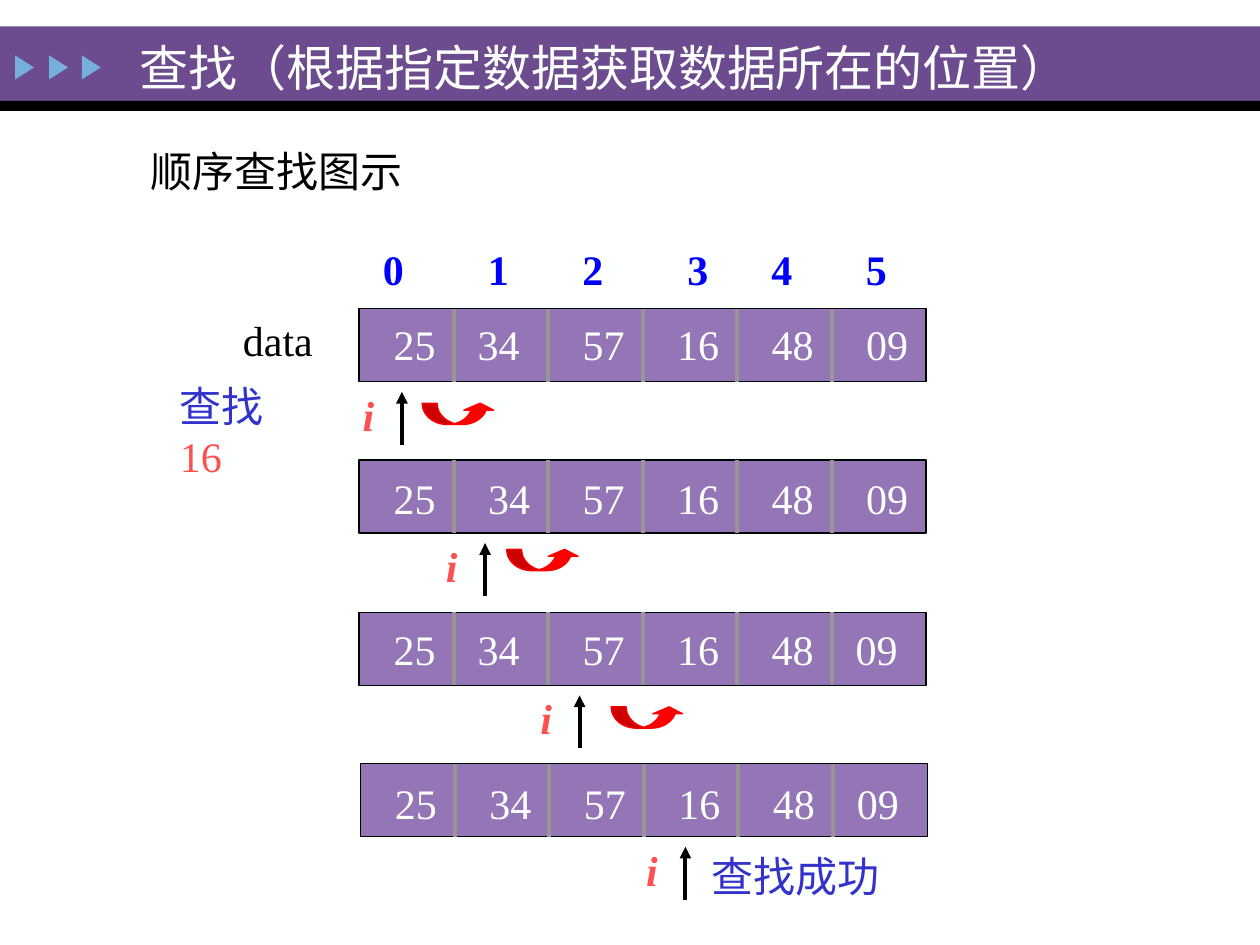
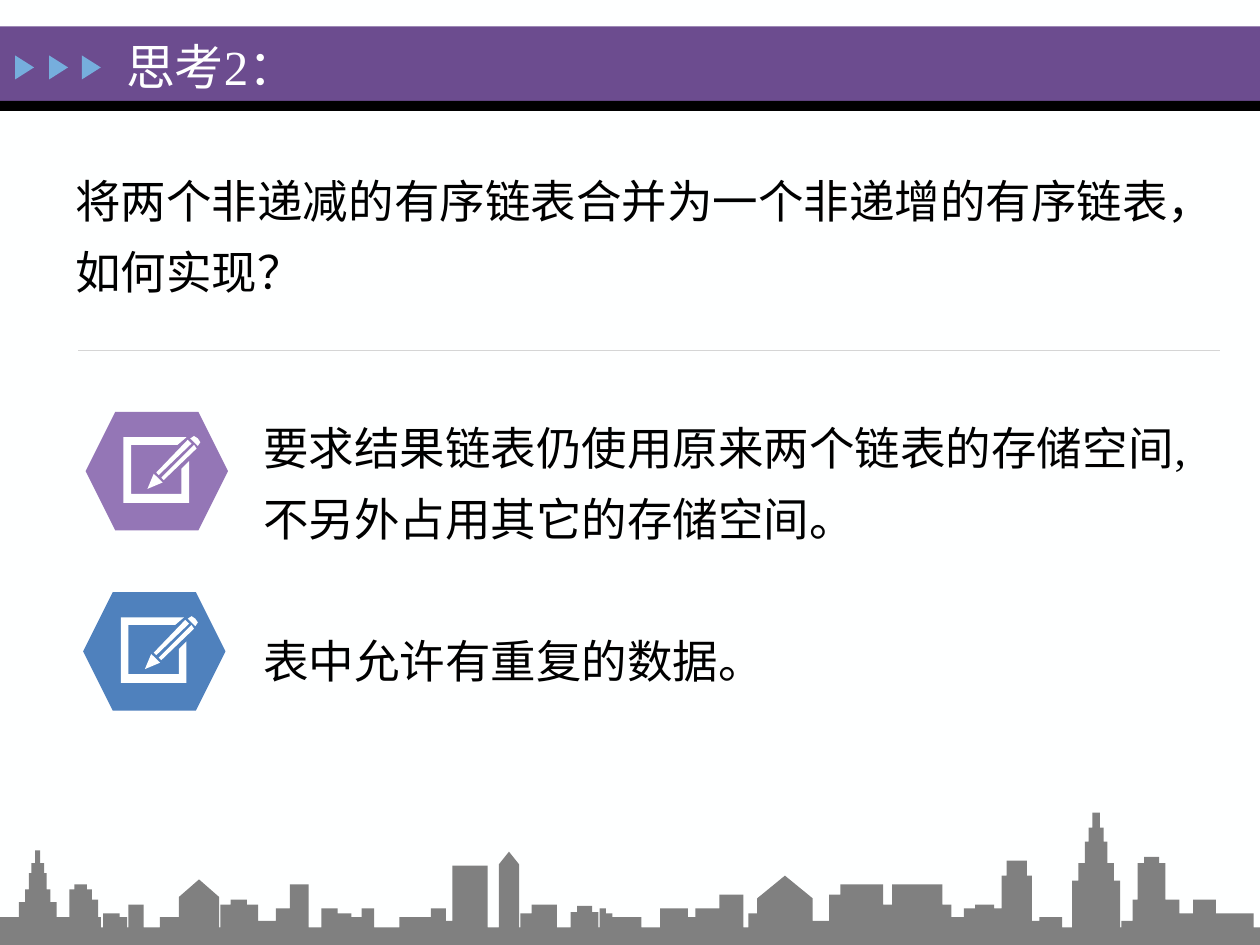
import dataclasses

import lxml.etree
import pptx
import pptx.dml.color
import pptx.enum.shapes
import pptx.enum.text
import pptx.oxml.ns
import pptx.util

Inches = pptx.util.Inches
Pt = pptx.util.Pt
SHAPES = pptx.enum.shapes.MSO_SHAPE
ANCHOR = pptx.enum.text.MSO_ANCHOR
qn = pptx.oxml.ns.qn

COLORS = {
    "paper": "FEFFFF", "band": "6C4C8F", "black": "000000", "marker": "76AEDD",
    "cell": "9476B6", "divider": "969696", "index": "0000FF", "label": "3333CC",
    "accent": "FF5050", "jump": "FF0000", "rule": "D5D5D5", "blue": "4F81BD",
    "skyline": "808080",
}
FONT = "Times New Roman"

# Search table: lengths in inches, except the number grid, which is in points
DATA = ("25", "34", "57", "16", "48", "09")
CELL_WIDTH, ROW_HEIGHT = 0.75, 0.58
NUMBER_PITCH, NUMBER_SPACE = 54, 6


@dataclasses.dataclass
class SearchStep:
    left: float
    top: float
    text_drop: float
    shifts: dict  # cell -> how many spaces its number moves right
    pointer: float
    jump: tuple = None  # left edge, drop below the row's top


SEARCH_STEPS = [
    SearchStep(2.85, 2.45, 0.03, {1: -1}, pointer=3.19, jump=(3.35, 0.75)),
    SearchStep(2.85, 3.65, 0.05, {}, pointer=3.85, jump=(4.02, 0.71)),
    SearchStep(2.85, 4.86, 0.04, {1: -1, 5: -1}, pointer=4.6, jump=(4.85, 0.75)),
    SearchStep(2.86, 6.06, 0.06, {5: -1}, pointer=5.44),
]

# White parts of the notepad icon, measured from the hexagon's corner
NOTEPAD_PARTS = {
    "pencil tip": [(0.61, 0.56), (0.54, 0.49), (0.49, 0.61)],
    "upper shaft": [(0.81, 0.22), (0.56, 0.48), (0.58, 0.5), (0.84, 0.25)],
    "lower shaft": [(0.6, 0.52), (0.62, 0.54), (0.88, 0.29), (0.86, 0.26)],
    "eraser": [(0.89, 0.21), (0.86, 0.19), (0.83, 0.21), (0.89, 0.27), (0.91, 0.24)],
    "page frame": [(0.76, 0.65), (0.36, 0.65), (0.36, 0.26), (0.73, 0.26), (0.8, 0.2),
                   (0.3, 0.2), (0.3, 0.72), (0.82, 0.72), (0.82, 0.39), (0.76, 0.45)],
}

# Skyline: every building is a block with a roof; the outline follows the highest one
STREET, SKYLINE_BOTTOM = 7.36, 7.52
# centre -> tiers of (half width, roof)
TOWERS = {
    0.3: [(0.02, 6.75), (0.05, 6.85), (0.07, 6.93), (0.1, 7.06), (0.15, 7.16)],
    0.64: [(0.05, 7.02), (0.09, 7.06)],
    4.64: [(0.06, 7.19), (0.11, 7.24)],
    8.07: [(0.08, 6.83), (0.12, 6.95)],
    8.7: [(0.03, 6.45), (0.06, 6.57), (0.09, 6.68), (0.14, 6.85), (0.19, 6.99)],
    9.14: [(0.06, 6.8), (0.11, 6.85)],
}
# centre -> (half width, eaves, peak)
HOUSES = {1.58: (0.16, 7.12, 6.98), 4.04: (0.08, 6.86, 6.76), 6.23: (0.22, 7.13, 6.95)}
# roof -> the (left, right) spans of flat buildings of that height
FLAT_BLOCKS = {
    6.87: [(3.59, 3.87)],
    7.02: [(2.3, 2.45), (6.67, 7.01), (7.08, 7.48)],
    7.1: [(5.71, 5.9), (6.58, 6.67)],
    7.14: [(0.55, 0.78), (1.83, 1.96), (8.99, 9.03), (9.25, 9.36), (9.47, 9.65)],
    7.18: [(1.02, 1.14), (1.75, 1.83), (1.96, 2.05), (4.22, 4.42), (7.01, 7.08),
           (7.48, 7.55), (7.74, 7.89)],
    7.21: [(2.19, 2.3), (2.55, 2.68), (2.87, 2.97), (3.42, 3.54), (4.76, 4.81),
           (5.24, 5.46), (5.52, 5.71), (7.65, 7.95)],
    7.25: [(0.82, 0.95), (2.68, 2.79), (4.13, 4.22), (4.81, 4.86), (5.94, 6.01),
           (9.36, 9.47), (9.65, 9.95)],
    7.28: [(0, 0.55), (0.78, 0.8), (0.95, 1.01), (1.27, 1.42), (2.79, 2.87),
           (3.17, 3.42), (4.86, 5.09), (5.46, 5.52), (7.55, 7.65), (8.25, 8.43)],
    7.31: [(2.05, 2.19), (3.54, 3.59), (6.45, 6.58), (8.19, 8.25), (8.9, 8.99)],
}


def rgb(name):
    return pptx.dml.color.RGBColor.from_string(COLORS[name])


def write(paragraph, text, size=24, color="black", bold=False, italic=False):
    """Add one formatted run to the paragraph."""
    run = paragraph.add_run()
    run.text = text
    run.font.name, run.font.size = FONT, Pt(size)
    run.font.bold, run.font.italic = bold, italic
    run.font.color.rgb = rgb(color)


def set_tab_stops(paragraph, stops):
    tab_list = lxml.etree.SubElement(paragraph._p.get_or_add_pPr(), qn("a:tabLst"))
    for stop in stops:
        lxml.etree.SubElement(tab_list, qn("a:tab"), pos=str(int(Pt(stop))), algn="l")


def skyline_blocks():
    """List every building as (left, right, roof)."""
    blocks = [(0, 10, STREET)]
    for roof, spans in FLAT_BLOCKS.items():
        blocks += [(left, right, roof) for left, right in spans]
    for center, tiers in TOWERS.items():
        blocks += [(center - half, center + half, roof) for half, roof in tiers]
    for center, (half, eaves, _) in HOUSES.items():
        blocks.append((center - half, center + half, eaves))
    return [(round(left, 2), round(right, 2), roof) for left, right, roof in blocks]


def skyline_outline():
    """Follow the highest roof between each pair of neighbouring walls."""
    blocks = skyline_blocks()
    walls = sorted({wall for left, right, _ in blocks for wall in (left, right)})
    points = [(center, peak) for center, (_, _, peak) in HOUSES.items()]
    for start, end in zip(walls, walls[1:]):
        roof = min(roof for left, right, roof in blocks if left <= start and end <= right)
        points += [(start, roof), (end, roof)]
    points.sort(key=lambda point: point[0])
    return [(0, SKYLINE_BOTTOM), *points, (10, SKYLINE_BOTTOM)]


class Deck:
    def __init__(self):
        self.presentation = pptx.Presentation()
        self.presentation.slide_width = Inches(10)
        self.presentation.slide_height = Inches(7.5)
        self.layout = self.presentation.slide_layouts[5]
        self.shapes = None
        self.has_bands = False

    def add_slide(self, title, left, top, width, height, margin=0.1):
        slide = self.presentation.slides.add_slide(self.layout)
        self.shapes = slide.shapes
        if not self.has_bands:
            self.add_bands()
        shape = slide.shapes.title
        shape.left, shape.top = Inches(left), Inches(top)
        shape.width, shape.height = Inches(width), Inches(height)
        frame = shape.text_frame
        frame.auto_size = pptx.enum.text.MSO_AUTO_SIZE.NONE
        frame.vertical_anchor = ANCHOR.MIDDLE
        frame.margin_left = Inches(margin)
        paragraph = frame.paragraphs[0]
        paragraph.alignment = pptx.enum.text.PP_ALIGN.LEFT
        write(paragraph, title, size=28, color="paper")

    def add_bands(self):
        """Draw the header bands once and hand them to the layout."""
        fill = self.layout.background.fill
        fill.solid()
        fill.fore_color.rgb = rgb("paper")
        for placeholder in list(self.layout.placeholders)[1:]:
            self.layout.shapes.element.remove(placeholder.element)
        parts = [self.shape(SHAPES.RECTANGLE, 0, 0.21, 10, 0.59, "band"),
                 self.shape(SHAPES.RECTANGLE, 0, 0.8, 10, 0.08, "black")]
        for left in (0.1, 0.37, 0.63):
            marker = self.shape(SHAPES.ISOSCELES_TRIANGLE, left, 0.46, 0.19, 0.15, "marker")
            marker.rotation = 90
            parts.append(marker)
        for part in parts:
            self.layout.shapes.element.append(part.element)
        self.has_bands = True

    def paint(self, shape, fill, line=None):
        shape.shadow.inherit = False
        shape.fill.solid()
        shape.fill.fore_color.rgb = rgb(fill)
        if line:
            shape.line.color.rgb = rgb(line)
            shape.line.width = Pt(0.75)
        else:
            shape.line.fill.background()
        return shape

    def shape(self, kind, left, top, width, height, fill, line=None):
        shape = self.shapes.add_shape(
            kind, Inches(left), Inches(top), Inches(width), Inches(height))
        return self.paint(shape, fill, line)

    def outline(self, points, fill):
        corners = [(Inches(x), Inches(y)) for x, y in points]
        builder = self.shapes.build_freeform(*corners[0])
        builder.add_line_segments(corners[1:], close=True)
        return self.paint(builder.convert_to_shape(), fill)

    def line(self, start, end, color, width, arrow=False):
        connector = self.shapes.add_connector(
            pptx.enum.shapes.MSO_CONNECTOR.STRAIGHT, *map(Inches, start + end))
        connector.line.color.rgb = rgb(color)
        connector.line.width = Pt(width)
        properties = connector._element.spPr
        if arrow:
            lxml.etree.SubElement(properties.find(qn("a:ln")), qn("a:tailEnd"), type="triangle")
        lxml.etree.SubElement(properties, qn("a:effectLst"))

    def text_frame(self, left, top, width, height, anchor=ANCHOR.TOP):
        box = self.shapes.add_textbox(Inches(left), Inches(top), Inches(width), Inches(height))
        box.text_frame.word_wrap = True
        box.text_frame.vertical_anchor = anchor
        return box.text_frame

    def label(self, text, left, top, width, height=0.51, anchor=ANCHOR.TOP, **style):
        frame = self.text_frame(left, top, width, height, anchor)
        write(frame.paragraphs[0], text, **style)
        return frame

    def body(self, texts, left, top, width, height):
        """Write wide-spaced paragraphs, one line's height apart."""
        frame = self.text_frame(left, top, width, height, ANCHOR.MIDDLE)
        for number, text in enumerate(texts):
            paragraph = frame.add_paragraph() if number else frame.paragraphs[0]
            paragraph.line_spacing = 1.3
            if number:
                paragraph.space_before = Pt(40.6)
            write(paragraph, text, size=26)

    def numbers(self, values, shifts, left, top, **style):
        """Write one value per cell; shifts moves single values by whole spaces."""
        first, *others = [NUMBER_PITCH * cell + NUMBER_SPACE * (1 + shifts.get(cell, 0))
                          for cell in range(len(values))]
        frame = self.label("\t".join(values), left, top, 4.49, **style)
        frame.margin_left = Inches(0.1) + Pt(first)
        set_tab_stops(frame.paragraphs[0], [offset - first for offset in others])

    def search_step(self, step):
        left, top, pointer = step.left, step.top, step.pointer
        self.shape(SHAPES.RECTANGLE, left, top, CELL_WIDTH * len(DATA), ROW_HEIGHT,
                   "cell", "black")
        for cell in range(1, len(DATA)):
            x = left + cell * CELL_WIDTH
            self.line((x, top), (x, top + ROW_HEIGHT), "divider", 2.25)
        self.numbers(DATA, step.shifts, left + 0.09, top + step.text_drop, color="paper")
        self.line((pointer, top + 1.08), (pointer, top + 0.66), "black", 2.25, arrow=True)
        self.label("i", pointer - 0.41, top + 0.59, 0.3, color="accent", bold=True, italic=True)
        if step.jump:
            jump_left, drop = step.jump
            arrow = self.shape(SHAPES.CURVED_UP_ARROW, jump_left, top + drop, 0.58, 0.17,
                               "jump", "jump")
            for number, value in enumerate((0.7, 1.4, 0.33)):
                arrow.adjustments[number] = value

    def notepad_icon(self, left, top, fill):
        slide_shapes = self.shapes
        self.shapes = slide_shapes.add_group_shape().shapes
        self.shape(SHAPES.HEXAGON, left, top, 1.13, 0.94, fill)
        for points in NOTEPAD_PARTS.values():
            self.outline([(left + x, top + y) for x, y in points], "paper")
        self.shapes = slide_shapes


def add_search_slide(deck):
    deck.add_slide("查找（根据指定数据获取数据所在的位置）", 0.82, 0.25, 8.43, 0.56, margin=0.29)
    deck.label("顺序查找图示", 1.1, 0.94, 4.67, 0.83, ANCHOR.MIDDLE)
    deck.numbers("012345", {0: -1, 3: 1}, 2.94, 1.88, color="index", bold=True)
    deck.label("data", 1.83, 2.45, 0.76)
    target = deck.label("查找", 1.33, 2.97, 1.3, color="label").paragraphs[0]
    target.add_line_break()
    write(target, "16", color="accent")
    for step in SEARCH_STEPS:
        deck.search_step(step)
    deck.label("查找成功", 5.55, 6.7, 1.55, color="label")


def add_question_slide(deck):
    deck.add_slide("思考2：", 0.9, 0.21, 8.51, 0.63)
    deck.body(["将两个非递减的有序链表合并为一个非递增的有序链表，如何实现？"], 0.5, 1.25, 9.31, 1.11)
    deck.line((0.62, 2.78), (9.68, 2.78), "rule", 0.75)
    deck.body(["要求结果链表仍使用原来两个链表的存储空间, 不另外占用其它的存储空间。",
               "表中允许有重复的数据。"], 1.99, 3.14, 7.69, 2.38)
    deck.notepad_icon(0.68, 3.27, "cell")
    deck.notepad_icon(0.66, 4.7, "blue")
    deck.outline(skyline_outline(), "skyline")


def main():
    deck = Deck()
    add_search_slide(deck)
    add_question_slide(deck)
    deck.presentation.save("out.pptx")


if __name__ == "__main__":
    main()
